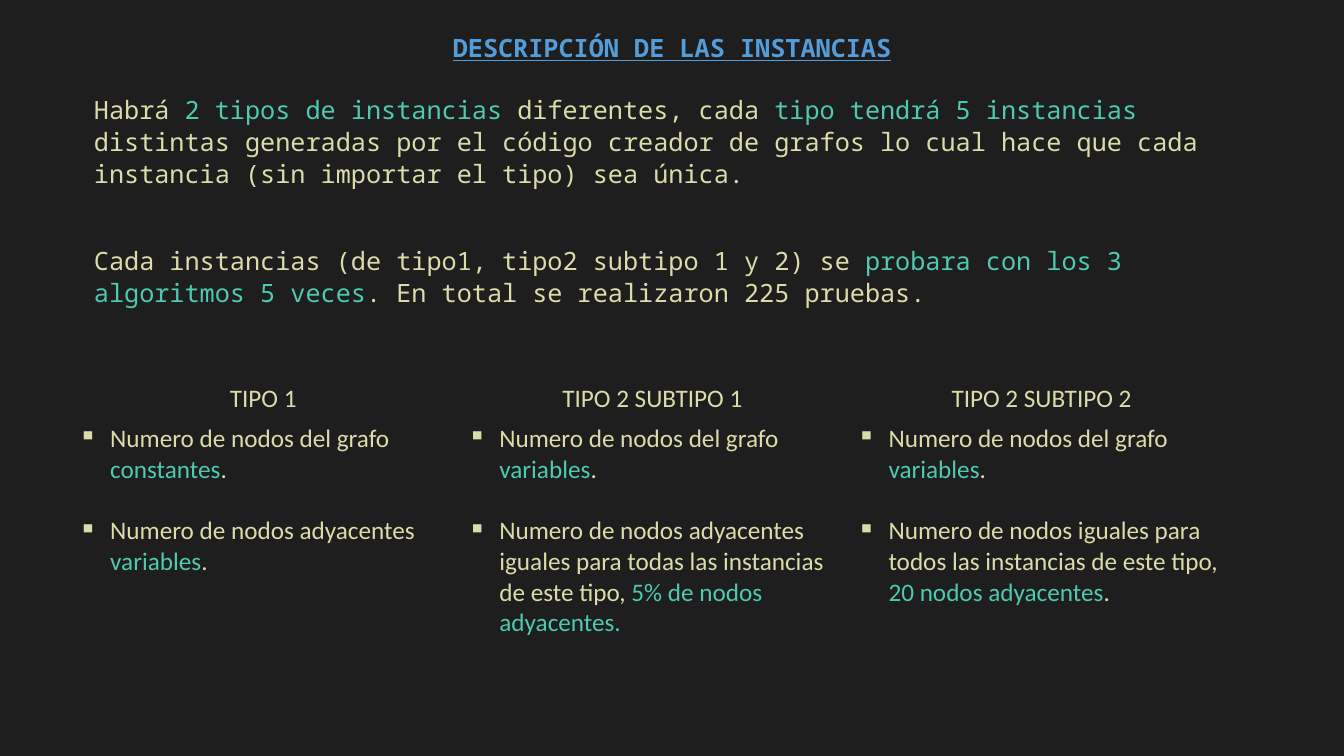
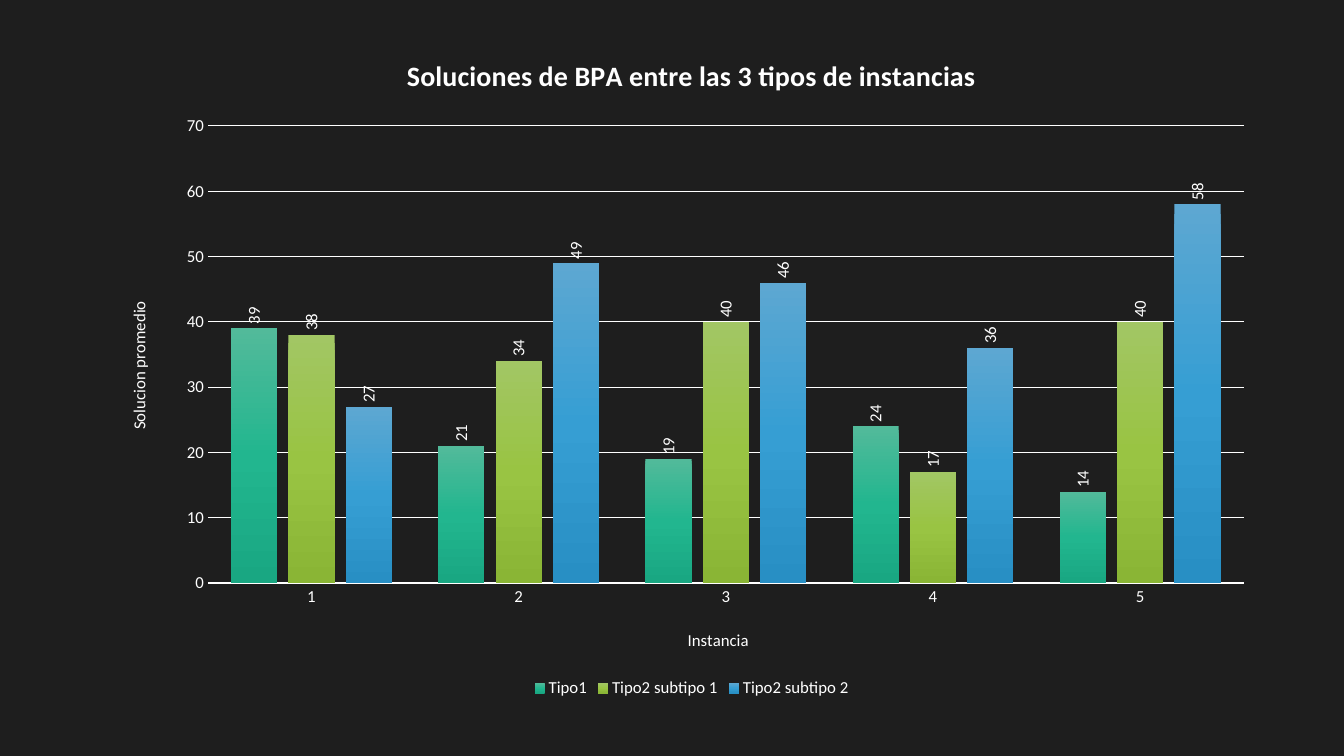
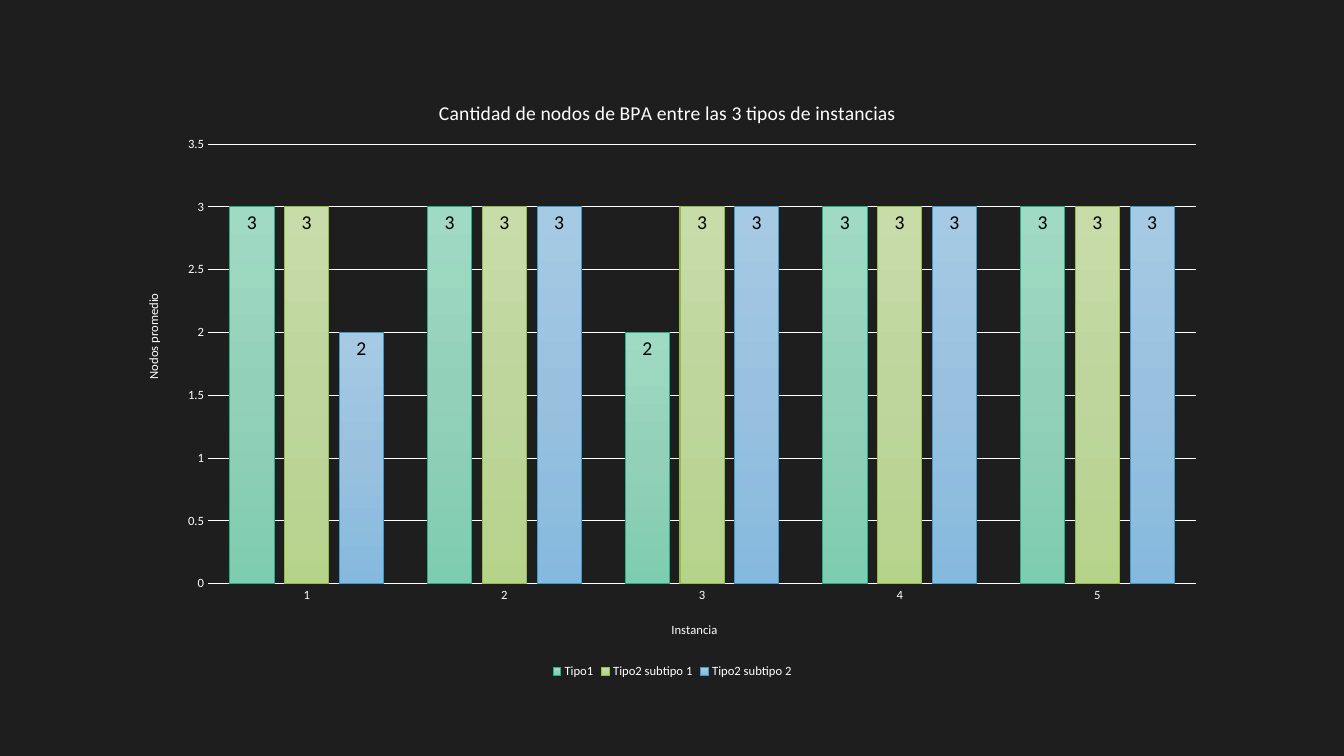
import lxml.etree
import pptx
import pptx.chart.data
import pptx.dml.color
import pptx.enum.chart
import pptx.enum.text
import pptx.oxml.ns
import pptx.util

Pt = pptx.util.Pt
qn = pptx.oxml.ns.qn
BACKGROUND, WHITE, BLACK = "1E1E1E", "FFFFFF", "000000"
CREAM, TEAL, BLUE = "DCDCAA", "4ECAB1", "539DDA"
MONO = {"name": "Noto Sans Mono", "size": Pt(18)}
SANS = {"name": "Calibri", "size": Pt(18)}
NAMES = ["Tipo1", "Tipo2 subtipo 1", "Tipo2 subtipo 2"]

INTRODUCTION = [
    [("Habrá ", CREAM), ("2 tipos de instancias ", TEAL), ("diferentes, cada ", CREAM),
     ("tipo tendrá 5 instancias ", TEAL),
     ("distintas generadas por el código creador de grafos lo cual hace que cada "
      "instancia (sin importar el tipo) sea única.", CREAM)],
    [("Cada instancias (de tipo1, tipo2 subtipo 1 y 2) se ", CREAM),
     ("probara con los 3 algoritmos 5 veces", TEAL),
     (". En total se realizaron 225 pruebas.", CREAM)],
]
NODES = ("Numero de nodos del grafo ", CREAM)
VARIABLES = [("variables", TEAL), (".", CREAM)]
TYPES = {
    "TIPO 1": [
        [NODES, ("constantes", TEAL), (".", CREAM)],
        [("Numero de nodos adyacentes ", CREAM), *VARIABLES],
    ],
    "TIPO 2 SUBTIPO 1": [
        [NODES, *VARIABLES],
        [("Numero de nodos adyacentes iguales para todas las instancias de este tipo, ", CREAM),
         ("5% de nodos adyacentes.", TEAL)],
    ],
    "TIPO 2 SUBTIPO 2": [
        [NODES, *VARIABLES],
        [("Numero de nodos iguales para todos las instancias de este tipo, ", CREAM),
         ("20 nodos adyacentes", TEAL), (".", CREAM)],
    ],
}
SOLUTIONS = {
    "box": (83, 21.6, 822, 480), "plot": (148.5, 90, 740, 326.5),
    "title": ("Soluciones de BPA entre las 3 tipos de instancias", 287, 36),
    "title_font": {"size": Pt(20), "bold": True},
    "category": ("Instancia", 489, 447), "value": ("Solucion promedio", 89, 213),
    "size": 12, "axis_line": 1, "maximum": 70, "unit": 10,
    "label": (12, WHITE, "OUTSIDE_END", "-5400000"),
    "values": [(39, 21, 19, 24, 14), (38, 34, 40, 17, 40), (27, 49, 46, 36, 58)],
    "gradients": [("52BA9A", "22B68F", "19A782"), ("A2C664", "99C443", "8AB535"),
                  ("5DA7D2", "369ED3", "288FC4")],
    "outlines": [None, None, None],
}
NODE_COUNTS = {
    "box": (90, 51, 780.5, 437), "plot": (148.5, 103, 706, 314),
    "title": ("Cantidad de nodos de BPA entre las 3 tipos de instancias", 311, 68),
    "title_font": {"size": Pt(14), "bold": False},
    "category": ("Instancia", 478, 442), "value": ("Nodos promedio", 102, 208),
    "size": 9, "axis_line": 0.75, "maximum": 3.5, "unit": 0.5,
    "label": (14, BLACK, "INSIDE_END", "0"),
    "values": [(3, 3, 2, 3, 3), (3, 3, 3, 3, 3), (2, 3, 3, 3, 3)],
    "gradients": [("A0DAC4", "93D0B9", "7ECDB1"), ("C8DCA9", "BED59C", "B6D38A"),
                  ("A6CAE4", "99C1DF", "85B9DE")],
    "outlines": ["28AB89", "94BA47", "3C99C8"],
}


def rgb(value):
    """Turn a hex string into a colour."""
    return pptx.dml.color.RGBColor.from_string(value)


def assign(target, values):
    """Set each named attribute on the target."""
    for name, value in values.items():
        setattr(target, name, value)


def style_font(font, values, color):
    """Apply format values and a colour to a font."""
    assign(font, values)
    font.color.rgb = rgb(color)


def style_line(line, color, width):
    """Give a line its colour and width."""
    line.color.rgb = rgb(color)
    line.width = Pt(width)


def child(parent, tag, **attributes):
    """Append an XML element with attributes."""
    return lxml.etree.SubElement(parent, qn(tag), attributes)


def add_slide(presentation):
    """Add a blank slide with the dark background."""
    slide = presentation.slides.add_slide(presentation.slide_layouts[6])
    slide.background.fill.solid()
    slide.background.fill.fore_color.rgb = rgb(BACKGROUND)
    return slide


def write_paragraphs(frame, paragraphs, font, formats, gap=0, bullet=False):
    """Write paragraphs of coloured runs with a gap between them."""
    frame.word_wrap = True
    for index, runs in enumerate(paragraphs):
        paragraph = frame.add_paragraph() if index else frame.paragraphs[0]
        assign(paragraph, formats)
        if index < len(paragraphs) - 1:
            paragraph.space_after = Pt(gap)
        if bullet:
            properties = paragraph._p.get_or_add_pPr()
            properties.set("marL", str(Pt(22.5)))
            properties.set("indent", str(-Pt(22.5)))
            child(properties, "a:buChar", char="▪")
        for text, color in runs:
            run = paragraph.add_run()
            run.text = text
            style_font(run.font, font, color)


def add_text(slide, box, paragraphs, font, formats, gap=0):
    """Add a text box."""
    shape = slide.shapes.add_textbox(*map(Pt, box))
    write_paragraphs(shape.text_frame, paragraphs, font, formats, gap)


def add_types_table(slide, left, top, width, row_heights):
    """Add the table with one column for each instance type."""
    table = slide.shapes.add_table(
        2, len(TYPES), Pt(left), Pt(top), Pt(width), Pt(sum(row_heights))).table
    assign(table, {"first_row": False, "horz_banding": False})
    for row, height in zip(table.rows, row_heights):
        row.height = Pt(height)
    centered = {"alignment": pptx.enum.text.PP_ALIGN.CENTER}
    for column, (heading, points) in enumerate(TYPES.items()):
        write_paragraphs(table.cell(0, column).text_frame, [[(heading, CREAM)]], SANS, centered)
        write_paragraphs(table.cell(1, column).text_frame, points, SANS, {}, 22, True)
    for cell in table.iter_cells():
        properties = cell._tc.get_or_add_tcPr()
        for side in ("a:lnL", "a:lnR", "a:lnT", "a:lnB"):
            border = child(properties, side, w=str(Pt(1)))
            child(child(border, "a:solidFill"), "a:srgbClr", val=BACKGROUND)
        cell.fill.background()


def place(element, box, left, top, width=None, height=None):
    """Fix a chart part at a place on the slide, as shares of the chart box."""
    old = element.find(qn("c:layout"))
    if old is not None:
        element.remove(old)
    layout = lxml.etree.Element(qn("c:layout"))
    element.insert(0 if element.find(qn("c:tx")) is None else 1, layout)
    manual = child(layout, "c:manualLayout")
    if width:
        child(manual, "c:layoutTarget", val="inner")
    child(manual, "c:xMode", val="edge")
    child(manual, "c:yMode", val="edge")
    shares = {"x": (left - box[0]) / box[2], "y": (top - box[1]) / box[3]}
    if width:
        shares.update(w=width / box[2], h=height / box[3])
    for name, share in shares.items():
        child(manual, "c:" + name, val=f"{share:.4f}")


def write_chart_title(title, box, content, font, rotation="0"):
    """Write and place a chart or axis title."""
    text, left, top = content
    title.text_frame.text = text
    style_font(title.text_frame.paragraphs[0].runs[0].font, {"name": "Calibri", **font}, WHITE)
    assign(title.text_frame, {"word_wrap": True})
    title._element.find(".//" + qn("a:bodyPr")).set("rot", rotation)
    place(title._element, box, left, top)


def style_series(series, gradient, outline, label):
    """Give a series its gradient, outline and value labels."""
    series.format.fill.gradient()
    series.format.fill.gradient_angle = 270
    stops = series._element.find(".//" + qn("a:gsLst"))
    for stop in list(stops):
        stops.remove(stop)
    for index, color in enumerate(gradient):
        child(child(stops, "a:gs", pos=str(index * 50000)), "a:srgbClr", val=color)
    if outline:
        style_line(series.format.line, outline, 0.75)
    size, color, position, rotation = label
    labels = series.data_labels
    assign(labels, {"show_value": True,
                    "position": pptx.enum.chart.XL_LABEL_POSITION[position]})
    style_font(labels.font, {"name": "Calibri", "size": Pt(size)}, color)
    labels._element.find(".//" + qn("a:bodyPr")).set("rot", rotation)


def add_column_chart(slide, design):
    """Add a clustered column chart that compares the instance types."""
    data = pptx.chart.data.CategoryChartData()
    data.categories = ["1", "2", "3", "4", "5"]
    for name, values in zip(NAMES, design["values"]):
        data.add_series(name, values)
    box = design["box"]
    kind = pptx.enum.chart.XL_CHART_TYPE.COLUMN_CLUSTERED
    chart = slide.shapes.add_chart(kind, *map(Pt, box), data).chart
    font = {"name": "Calibri", "size": Pt(design["size"])}
    style_font(chart.font, font, WHITE)
    write_chart_title(chart.chart_title, box, design["title"], design["title_font"])
    place(chart._chartSpace.find(".//" + qn("c:plotArea")), box, *design["plot"])

    plot = chart.plots[0]
    assign(plot, {"gap_width": 100, "overlap": -24, "vary_by_categories": False})
    for series, gradient, outline in zip(plot.series, design["gradients"], design["outlines"]):
        style_series(series, gradient, outline, design["label"])

    axes = {"category": (chart.category_axis, "0"), "value": (chart.value_axis, "-5400000")}
    for name, (axis, rotation) in axes.items():
        axis.major_tick_mark = pptx.enum.chart.XL_TICK_MARK.NONE
        style_font(axis.tick_labels.font, font, WHITE)
        write_chart_title(axis.axis_title, box, design[name],
                          {"size": font["size"], "bold": False}, rotation)
    style_line(chart.category_axis.format.line, WHITE, design["axis_line"])
    assign(chart.value_axis, {"minimum_scale": 0, "maximum_scale": design["maximum"],
                              "major_unit": design["unit"]})
    chart.value_axis.format.line.fill.background()
    style_line(chart.value_axis.major_gridlines.format.line, WHITE, 0.75)

    chart.has_legend = True
    assign(chart.legend, {"position": pptx.enum.chart.XL_LEGEND_POSITION.BOTTOM,
                          "include_in_layout": False})
    style_font(chart.legend.font, font, WHITE)


def add_description(slide):
    """Describe the instances in text and a table."""
    add_text(slide, (240, 18, 480, 29.5), [[("DESCRIPCIÓN DE LAS INSTANCIAS", BLUE)]],
             {**MONO, "bold": True, "underline": True},
             {"alignment": pptx.enum.text.PP_ALIGN.CENTER, "line_spacing": 1.07})
    add_text(slide, (60, 62, 823, 194), INTRODUCTION, MONO, {"line_spacing": 1.07}, 39)
    add_types_table(slide, 49, 270, 834, (28, 153))


def main():
    """Build and save the presentation."""
    presentation = pptx.Presentation()
    assign(presentation, {"slide_width": Pt(960), "slide_height": Pt(540)})
    add_description(add_slide(presentation))
    for design in (SOLUTIONS, NODE_COUNTS):
        add_column_chart(add_slide(presentation), design)
    presentation.save("out.pptx")


if __name__ == "__main__":
    main()
